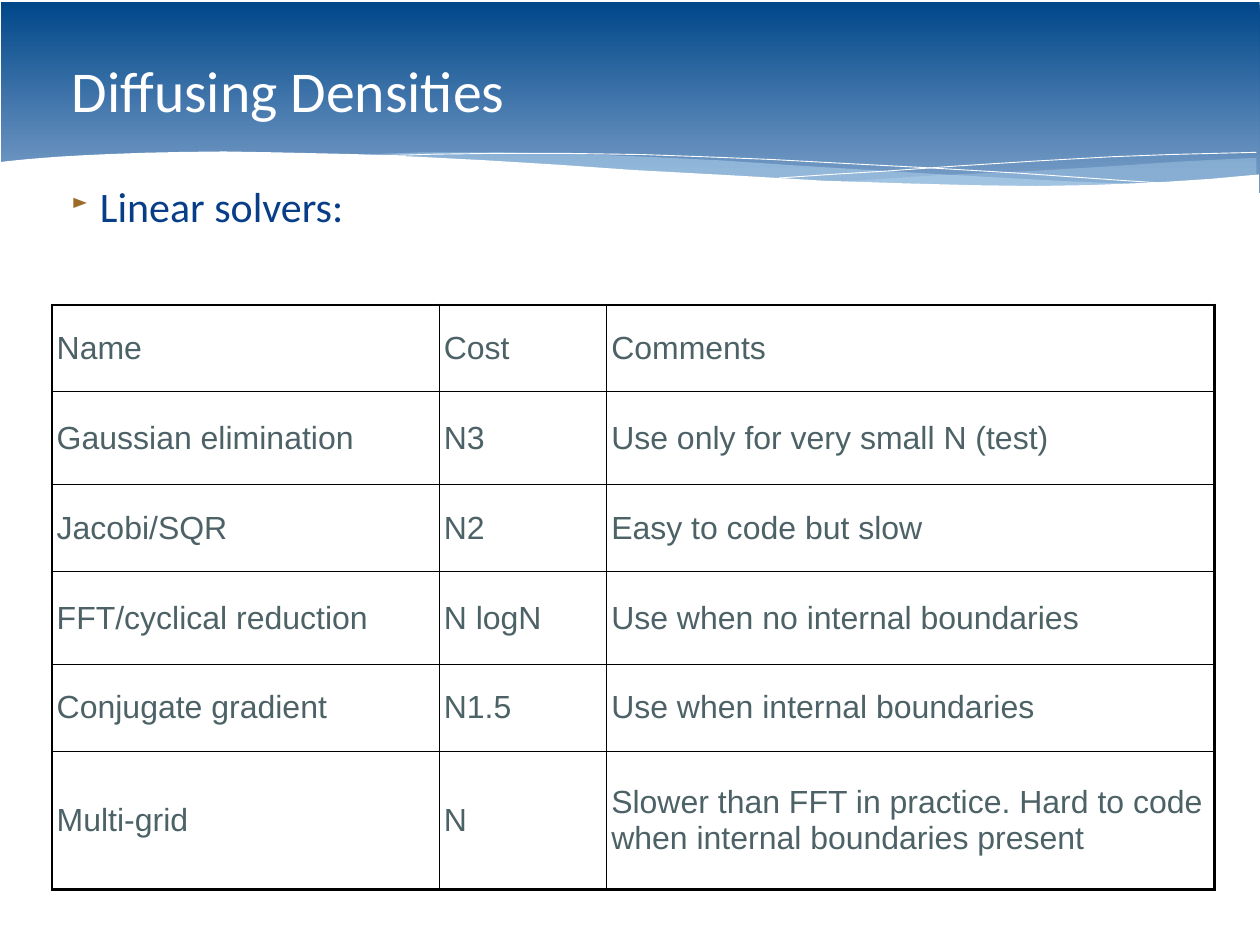
from lxml import etree
from pptx import Presentation
from pptx.dml.color import RGBColor
from pptx.enum.shapes import MSO_SHAPE
from pptx.enum.text import MSO_ANCHOR, PP_ALIGN
from pptx.oxml.ns import qn
from pptx.util import Pt

RECT = MSO_SHAPE.RECTANGLE
TOP, MIDDLE = MSO_ANCHOR.TOP, MSO_ANCHOR.MIDDLE
LEFT = PP_ALIGN.LEFT
WIDTH, HEIGHT = 1024, 768

COLORS = {
    "deep": "00478A", "pale": "7198C3", "sheen": "C6E7FC", "white": "FFFFFF",
    "body": "073E87", "bullet": "9C6B29", "cell": "4D6266", "rule": "000000",
}

# Outlines of the waves under the header, in points
RIGHT = [
    (1021, 128.2), (964, 131), (898, 135.4), (838, 139), (758, 142.6),
    (684, 147.6), (731, 149), (800, 150.9), (859, 151.2), (910, 150.5),
    (955, 148.7), (993, 145.4), (1021, 141.8),
]
LONG = [
    (932, 149.8), (873, 147.6), (806, 144), (732, 139.7), (649, 134.6),
    (585, 130.3), (526, 127.4), (473, 125.3), (403, 123.8), (344, 123.8),
    (282, 126), (342, 128.2), (409, 131.8), (501, 137.5), (582, 142.6),
    (655, 146.2), (720, 149), (778, 150.5), (828, 151.2), (874, 151.2),
    (915, 150.5), (932, 149.8),
]
ARC = [
    (307, 126.7), (353, 125.3), (405, 124.6), (458, 124.6), (522, 125.6),
    (572, 127.4), (627, 129.6), (688, 132.9), (755, 136.4), (828, 140.7),
    (906, 146.2), (948, 149),
]
RISE = [
    (633, 144.7), (675, 141.8), (721, 139), (777, 135), (840, 131),
    (904, 127.4), (951, 125.6), (994, 124.5), (1021, 123.8),
]
EDGE = [
    (1023, 141.8), (984, 145.4), (939, 148.3), (887, 150.4), (842, 151.2),
    (791, 150.5), (734, 149), (670, 146.9), (596, 142.6), (515, 138.2),
    (454, 133.9), (395, 130.3), (339, 127.4), (289, 125.3), (222, 123.8),
    (182, 123.1), (148, 123.5), (117, 124.2), (89, 125.2), (66, 126.3),
    (47, 127.4), (24, 129.2), (6, 131), (0, 131.8), (0, 166.3), (1023, 166.3),
]

COLS = [314.6, 136.1, 493.9]
ROWS = [70.6, 75.6, 70.6, 75.6, 70.6, 112.2]
SOLVERS = [
    ("Name", "Cost", "Comments"),
    ("Gaussian elimination", "N3", "Use only for very small N (test)"),
    ("Jacobi/SQR", "N2", "Easy to code but slow"),
    ("FFT/cyclical reduction", "N logN", "Use when no internal boundaries"),
    ("Conjugate gradient", "N1.5", "Use when internal boundaries"),
    ("Multi-grid", "N", "Slower than FFT in practice. Hard to code "
                        "when internal boundaries present"),
]


def rgb(name):
    return RGBColor.from_string(COLORS[name])


def add_node(parent, tag, **attrs):
    node = etree.SubElement(parent, qn(tag))
    for key, value in attrs.items():
        node.set(key, str(value))
    return node


def set_font(para, name, size, color):
    para.font.name = name
    para.font.size = Pt(size)
    para.font.color.rgb = rgb(color)


def add_header(slide):
    box = slide.shapes.add_shape(RECT, Pt(0.7), Pt(1.4), Pt(1023), Pt(155.5))
    box.shadow.inherit = False
    box.line.fill.background()
    box.fill.gradient()
    box.fill.gradient_angle = 270
    for stop, spot, color in zip(box.fill.gradient_stops, (0, 0.9), ("deep", "pale")):
        stop.position = spot
        stop.color.rgb = rgb(color)


def add_wave(slide, points, color, alpha=100, filled=True):
    dots = [(Pt(x), Pt(y)) for x, y in points]
    pen = slide.shapes.build_freeform(*dots[0])
    pen.add_line_segments(dots[1:], close=filled)
    wave = pen.convert_to_shape()
    wave.shadow.inherit = False
    if not filled:
        wave.fill.background()
        wave.line.color.rgb = rgb(color)
        wave.line.width = Pt(0)
        return
    wave.line.fill.background()
    wave.fill.solid()
    wave.fill.fore_color.rgb = rgb(color)
    if alpha < 100:
        tint = wave.fill._xPr.find(".//" + qn("a:srgbClr"))
        add_node(tint, "a:alpha", val=alpha * 1000)


def add_text(slide, text, top, height, size, color, anchor, bullet=None):
    box = slide.shapes.add_textbox(Pt(51.2), Pt(top), Pt(921.6), Pt(height))
    frame = box.text_frame
    frame.word_wrap = True
    frame.vertical_anchor = anchor
    para = frame.paragraphs[0]
    para.text = text
    if bullet:
        props = para._p.get_or_add_pPr()
        props.set("marL", str(Pt(23)))
        props.set("indent", str(Pt(-23)))
        tint = add_node(props, "a:buClr")
        add_node(tint, "a:srgbClr", val=COLORS["bullet"])
        add_node(props, "a:buSzPct", val=50000)
        add_node(props, "a:buChar", char=bullet)
    set_font(para, "Calibri", size, color)


def set_rules(cell, widths):
    props = cell._tc.get_or_add_tcPr()
    for side, width in zip("LRTB", widths):
        line = add_node(props, "a:ln" + side, w=Pt(width))
        fill = add_node(line, "a:solidFill")
        add_node(fill, "a:srgbClr", val=COLORS["rule"])


def add_grid(slide, data):
    frame = slide.shapes.add_table(len(ROWS), len(COLS), Pt(42.5), Pt(247.7),
                                   Pt(sum(COLS)), Pt(sum(ROWS)))
    table = frame.table
    table.first_row = table.horz_banding = False
    for col, width in zip(table.columns, COLS):
        col.width = Pt(width)
    for row, height in zip(table.rows, ROWS):
        row.height = Pt(height)
    for i, texts in enumerate(data):
        for j, text in enumerate(texts):
            cell = table.cell(i, j)
            # Thick rules outside, thin ones inside
            outer = (j == 0, j == len(COLS) - 1, i == 0, i == len(ROWS) - 1)
            set_rules(cell, [2.25 if edge else 1 for edge in outer])
            cell.fill.background()
            cell.vertical_anchor = MIDDLE
            cell.margin_left = cell.margin_right = Pt(3.6)
            cell.margin_top = cell.margin_bottom = Pt(3.6)
            para = cell.text_frame.paragraphs[0]
            para.text = text
            para.alignment = LEFT
            set_font(para, "Arial", 26, "cell")


def main():
    deck = Presentation()
    deck.slide_width, deck.slide_height = Pt(WIDTH), Pt(HEIGHT)
    slide = deck.slides.add_slide(deck.slide_layouts[6])

    # Header band and waves
    add_header(slide)
    add_wave(slide, RIGHT, "sheen", alpha=29)
    add_wave(slide, LONG, "sheen", alpha=40)
    add_wave(slide, ARC, "white", filled=False)
    add_wave(slide, RISE, "white", filled=False)
    add_wave(slide, EDGE, "white")

    # Title and bullet
    add_text(slide, "Diffusing Densities", 16.6, 111.6, 46.9, "white", MIDDLE)
    add_text(slide, "Linear solvers:", 143.3, 568, 34.1, "body", TOP, bullet="►")

    # Table of solvers
    add_grid(slide, SOLVERS)
    deck.save("out.pptx")


if __name__ == "__main__":
    main()
